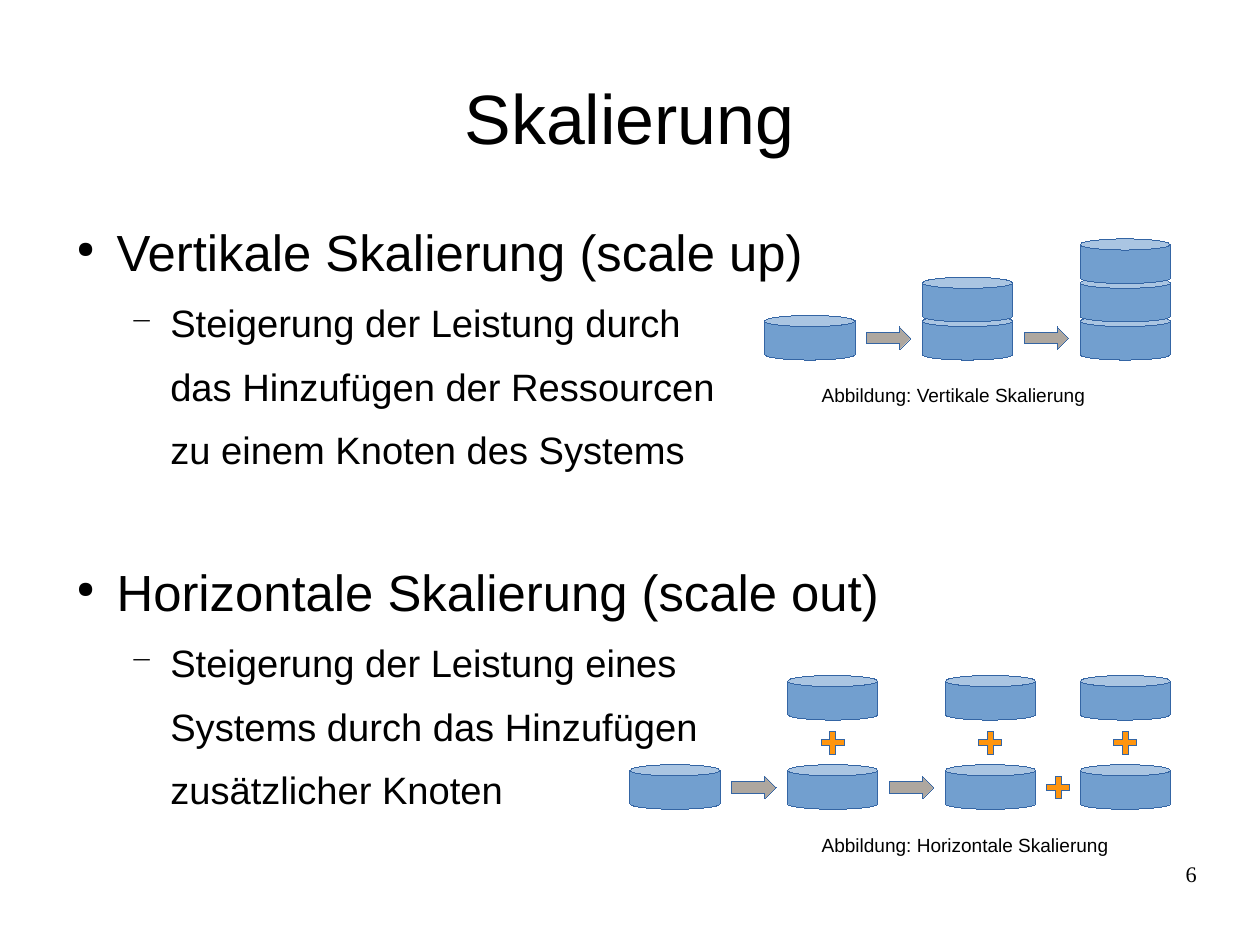
"""Build the slide on vertical and horizontal scaling."""
import pptx
import pptx.util
import pptx.dml.color
import pptx.enum.shapes
import pptx.enum.text
import pptx.oxml
import pptx.oxml.ns

Inches, Pt = pptx.util.Inches, pptx.util.Pt
RGB = pptx.dml.color.RGBColor.from_string
SHAPE = pptx.enum.shapes.MSO_SHAPE
ALIGN = pptx.enum.text.PP_ALIGN
COLORS = {"text": "000000", "can": "729FCF", "arrow": "AEA79F",
          "plus": "FF950E", "line": "3465A4"}
CAN_W, CAN_H, ARROW_W, SMALL, GAP = 0.79, 0.39, 0.39, 0.2, 0.1


def write(p, text, size=24, font="Arial", align=ALIGN.LEFT, before=0):
    p.alignment = align
    p.space_before = Pt(before)
    r = p.add_run()
    r.text = text
    r.font.size = Pt(size)
    r.font.name = font
    r.font.color.rgb = RGB(COLORS["text"])


def indent(p, left, bullet=None, percent=100):
    pPr = p._p.get_or_add_pPr()
    pPr.set("marL", str(Inches(left)))
    pPr.set("indent", str(Inches(-0.35 if bullet else 0)))
    ns = pptx.oxml.ns.nsdecls("a")
    parts = [f"<a:buNone {ns}/>"]
    if bullet:
        parts = [f'<a:buClr {ns}><a:srgbClr val="{COLORS["text"]}"/></a:buClr>',
                 f'<a:buSzPct {ns} val="{percent * 1000}"/>',
                 f'<a:buChar {ns} char="{bullet}"/>']
    for part in parts:
        pPr.append(pptx.oxml.parse_xml(part))


class Deck:
    """Hold the style and the current slide."""

    def __init__(self, width, height):
        self.prs = pptx.Presentation()
        self.prs.slide_width = Inches(width)
        self.prs.slide_height = Inches(height)
        self.s = self.prs.slides.add_slide(self.prs.slide_layouts[5])

    def frame(self, sp, margin_x=0, margin_y=0, wrap=True):
        tf = sp.text_frame
        tf.word_wrap = wrap
        tf.auto_size = pptx.enum.text.MSO_AUTO_SIZE.NONE
        tf.margin_left = tf.margin_right = Inches(margin_x)
        tf.margin_top = tf.margin_bottom = Inches(margin_y)
        return tf

    def title(self, text, x, y, w, h):
        sp = self.s.shapes.title
        sp.left, sp.top, sp.width, sp.height = map(Inches, (x, y, w, h))
        tf = self.frame(sp)
        tf.vertical_anchor = pptx.enum.text.MSO_ANCHOR.MIDDLE
        write(tf.paragraphs[0], text, size=44, align=ALIGN.CENTER)

    def box(self, x, y, w, h, **margins):
        sp = self.s.shapes.add_textbox(*map(Inches, (x, y, w, h)))
        return self.frame(sp, **margins)

    def outline(self, topics, x, y, w, h):
        tf = self.box(x, y, w, h)
        for i, (head, lines) in enumerate(topics):
            p = tf.add_paragraph() if i else tf.paragraphs[0]
            write(p, head, size=32, before=55.3 if i else 14.2)
            indent(p, 0.47, "●", 45)
            for j, line in enumerate(lines):
                p = tf.add_paragraph()
                p.level = 1
                write(p, line, before=11.3)
                indent(p, 0.94, None if j else "−", 75)

    def caption(self, text, x, y, w):
        tf = self.box(x, y, w, 0.29, margin_x=0.1, margin_y=0.05, wrap=False)
        write(tf.paragraphs[0], text, size=12)

    def number(self, text, x, y, w, h):
        tf = self.box(x, y, w, h)
        write(tf.paragraphs[0], text, size=14, font="Times New Roman",
              align=ALIGN.RIGHT)

    def shape(self, kind, color, x, y, w, h, adjust):
        sp = self.s.shapes.add_shape(kind, *map(Inches, (x, y, w, h)))
        sp.adjustments[0] = adjust
        sp.shadow.inherit = False
        sp.fill.solid()
        sp.fill.fore_color.rgb = RGB(COLORS[color])
        sp.line.color.rgb = RGB(COLORS["line"])
        sp.line.width = Pt(0.01)

    def can(self, x, y):
        self.shape(SHAPE.CAN, "can", x, y, CAN_W, CAN_H, 0.25)

    def arrow_after(self, x, y):
        self.shape(SHAPE.RIGHT_ARROW, "arrow", x + CAN_W + GAP, y + GAP,
                   ARROW_W, SMALL, 0.5)

    def plus(self, x, y):
        self.shape(SHAPE.CROSS, "plus", x, y, SMALL, SMALL, 0.37)


def main():
    deck = Deck(28 / 2.54, 21 / 2.54)
    deck.title("Skalierung", 0.55, 0.33, 9.92, 1.38)
    deck.outline([
        ("Vertikale Skalierung (scale up)",
         ["Steigerung der Leistung durch", "das Hinzufügen der Ressourcen",
          "zu einem Knoten des Systems"]),
        ("Horizontale Skalierung (scale out)",
         ["Steigerung der Leistung eines", "Systems durch das Hinzufügen",
          "zusätzlicher Knoten"]),
    ], 0.55, 1.93, 9.92, 4.79)

    step, base = 1.38, 2.76
    for i in range(3):
        x = 6.69 + i * step
        for level in range(i + 1):
            deck.can(x, base - level * 0.67 / 2)
        if i < 2:
            deck.arrow_after(x, base)
    deck.caption("Abbildung: Vertikale Skalierung", 7.09, 3.31, 2.51)

    base, upper = 6.69, 5.91
    columns = [5.51, 6.89, 8.27, 9.45]
    for i, x in enumerate(columns):
        deck.can(x, base)
        if i:
            deck.can(x, upper)
            deck.plus(x + (CAN_W - SMALL) / 2, upper + CAN_H + GAP)
        if i < 2:
            deck.arrow_after(x, base)
    deck.plus(columns[2] + CAN_W + GAP, base + GAP)
    deck.caption("Abbildung: Horizontale Skalierung", 7.09, 7.24, 2.72)

    deck.number("6", 7.9, 7.53, 2.57, 0.57)
    deck.prs.save("out.pptx")


if __name__ == "__main__":
    main()
